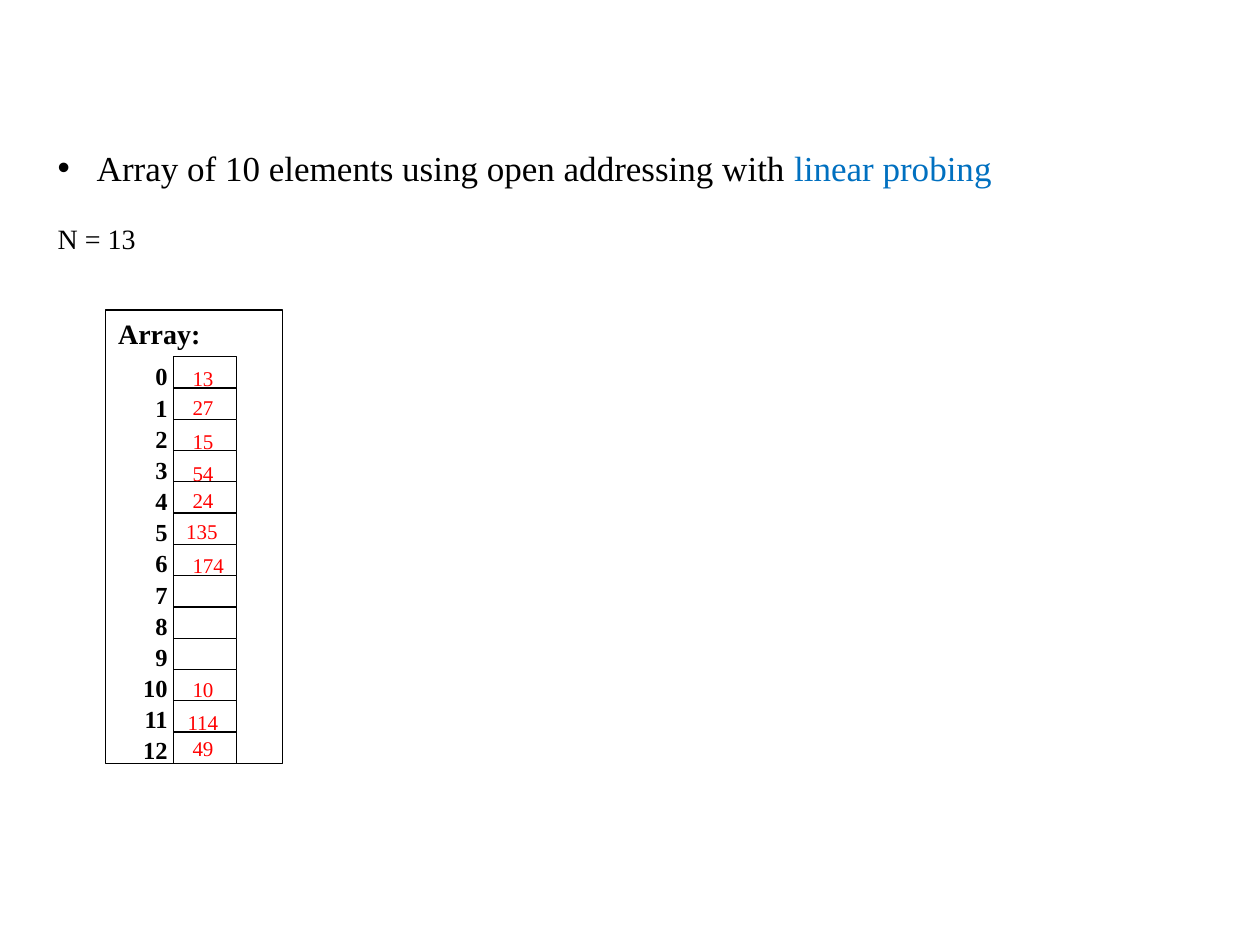
from pptx import Presentation
from pptx.dml.color import RGBColor
from pptx.enum.shapes import MSO_SHAPE as SHAPE
from pptx.enum.text import MSO_ANCHOR as ANCHOR, PP_ALIGN as ALIGN
from pptx.oxml import parse_xml
from pptx.oxml.ns import nsdecls
from pptx.util import Inches, Pt

BLACK = RGBColor(0x00, 0x00, 0x00)
WHITE = RGBColor(0xFF, 0xFF, 0xFF)
BLUE = RGBColor(0x00, 0x70, 0xC0)
RED = RGBColor(0xFF, 0x00, 0x00)
FONT = "Times New Roman"

SLOTS = 13
FIRST_SLOT_TOP, LAST_SLOT_TOP = 2.83, 5.81
# Stored values: text, left, top
VALUES = [
    ("13", 1.43, 2.85), ("27", 1.43, 3.08), ("15", 1.43, 3.35),
    ("54", 1.43, 3.61), ("24", 1.43, 3.82), ("135", 1.38, 4.07),
    ("174", 1.43, 4.34), ("10", 1.43, 5.32), ("114", 1.39, 5.58),
    ("49", 1.43, 5.79),
]


def style(paragraph, size, color=BLACK, bold=False):
    font = paragraph.font
    font.name, font.size, font.bold = FONT, Pt(size), bold
    font.color.rgb = color


def add_text(slide, left, top, width, height, lines, size,
             color=BLACK, bold=False, wrap=False):
    frame = slide.shapes.add_textbox(
        Inches(left), Inches(top), Inches(width), Inches(height)).text_frame
    frame.word_wrap = wrap
    frame.text = "\n".join(lines)
    for paragraph in frame.paragraphs:
        style(paragraph, size, color, bold)
    return frame


def add_box(slide, left, top, width, height):
    box = slide.shapes.add_shape(
        SHAPE.RECTANGLE, Inches(left), Inches(top), Inches(width), Inches(height))
    box.shadow.inherit = False
    box.fill.solid()
    box.fill.fore_color.rgb = WHITE
    box.line.color.rgb = BLACK
    box.line.width = Pt(0.75)
    return box


def add_bullet(paragraph, indent):
    properties = paragraph._p.get_or_add_pPr()
    properties.set("marL", str(Inches(indent)))
    properties.set("indent", str(-Inches(indent)))
    properties.append(parse_xml(f'<a:buFont {nsdecls("a")} typeface="Arial"/>'))
    properties.append(parse_xml(f'<a:buChar {nsdecls("a")} char="\u2022"/>'))


def add_intro(slide):
    intro = add_text(slide, 0.36, 1.11, 7.66, 1.78, [
        "Array of 10 elements using open addressing with ", "N = 13"], 16)
    heading, size_note = intro.paragraphs
    style(heading, 20)
    add_bullet(heading, 0.31)
    method = heading.add_run()
    method.text = "linear probing"
    method.font.color.rgb = BLUE
    size_note.space_before = Pt(19)


def add_array(slide):
    # Frame with its label
    label = add_box(slide, 0.84, 2.46, 1.4, 3.6).text_frame
    label.vertical_anchor = ANCHOR.TOP
    label.text = "Array:"
    label.paragraphs[0].alignment = ALIGN.LEFT
    style(label.paragraphs[0], 16, bold=True)

    # Slots
    pitch = (LAST_SLOT_TOP - FIRST_SLOT_TOP) / (SLOTS - 1)
    for slot in range(SLOTS):
        add_box(slide, 1.38, FIRST_SLOT_TOP + slot * pitch, 0.5, 0.25)

    # Slot numbers
    indices = add_text(slide, 1.03, 2.82, 0.4, 3.33,
                       [str(slot) for slot in range(SLOTS)], 14, bold=True)
    for index in indices.paragraphs:
        index.alignment = ALIGN.RIGHT
        index.space_after = Pt(1)

    # Stored values
    for value, left, top in VALUES:
        add_text(slide, left, top, 1.83 if value == "13" else 5, 0.3,
                 [value], 12, RED, wrap=True)


def main():
    deck = Presentation()
    deck.slide_width, deck.slide_height = Inches(10), Inches(7.5)
    slide = deck.slides.add_slide(deck.slide_layouts[6])
    add_intro(slide)
    add_array(slide)
    deck.save("out.pptx")


main()
